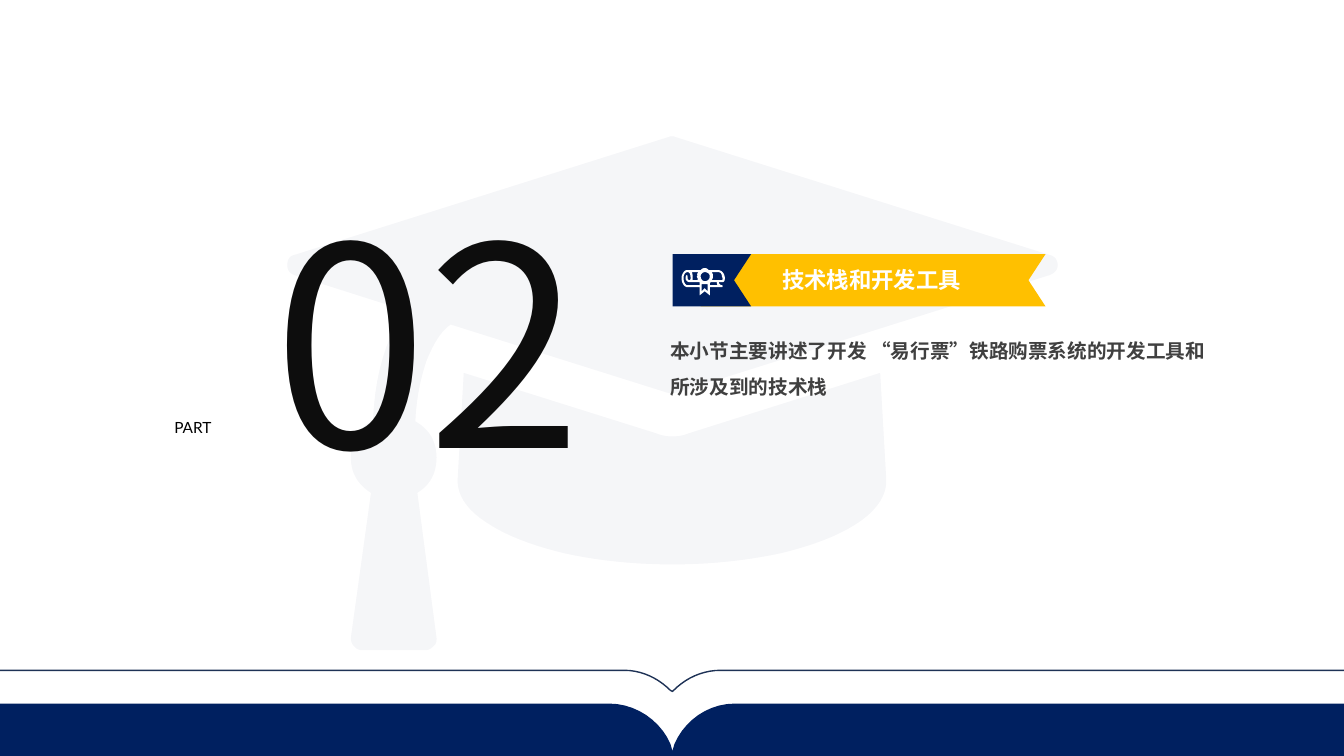
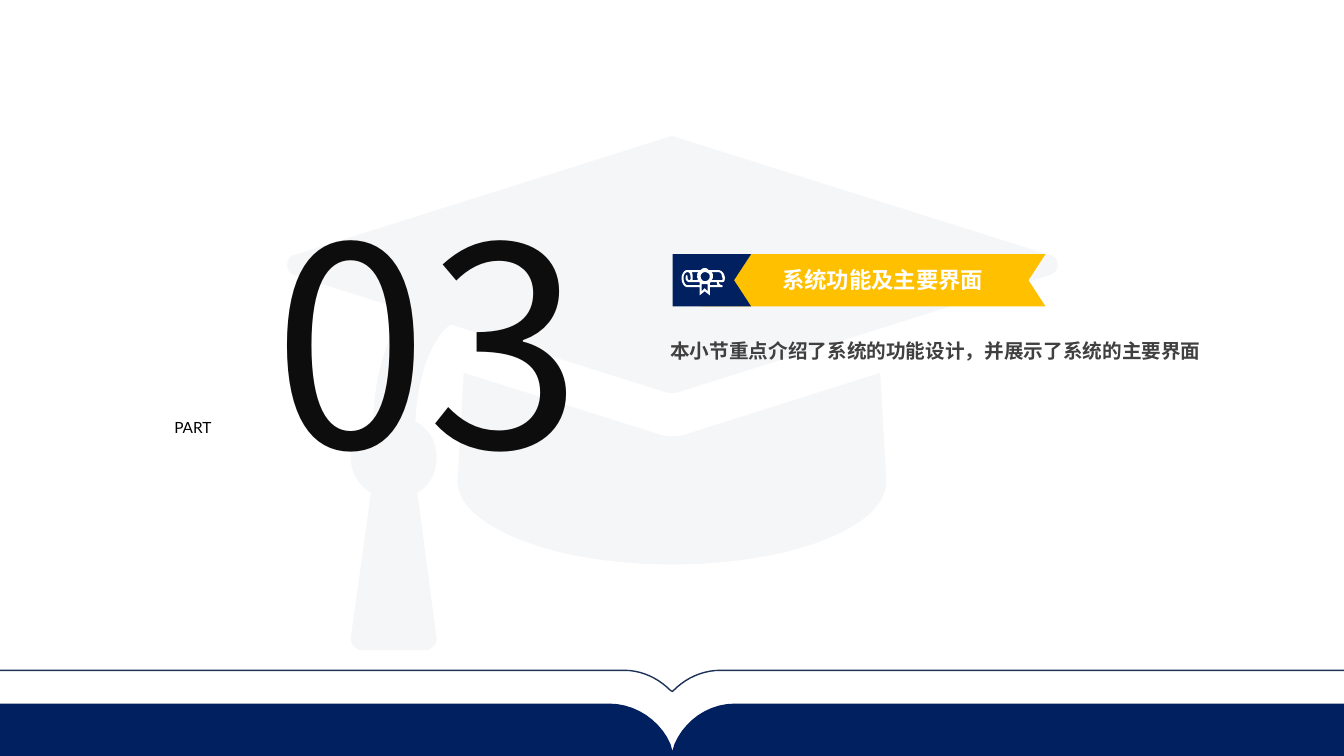
from lxml.etree import SubElement
from pptx import Presentation
from pptx.dml.color import RGBColor
from pptx.enum.text import MSO_AUTO_SIZE as AutoSize, PP_ALIGN as Align
from pptx.oxml.ns import qn
from pptx.util import Inches, Pt

NAVY, GOLD, WHITE = "002060", "FFC000", "FFFFFF"
LATIN, CHINESE = "Lato", "Noto Sans CJK SC"

CAP = [
    [(10.49, 2.63), (10.49, 2.68, 10.46, 2.71, 10.41, 2.73), (6.7, 3.9),
     (6.68, 3.9, 6.65, 3.9, 6.63, 3.9), (4.47, 3.22),
     (4.37, 3.29, 4.3, 3.41, 4.23, 3.58), (4.17, 3.76, 4.13, 3.95, 4.12, 4.18),
     (4.26, 4.26, 4.33, 4.38, 4.33, 4.54), (4.33, 4.69, 4.27, 4.81, 4.14, 4.89),
     (4.33, 6.33), (4.33, 6.36, 4.33, 6.39, 4.3, 6.41),
     (4.28, 6.43, 4.26, 6.45, 4.22, 6.45), (3.59, 6.45),
     (3.55, 6.45, 3.53, 6.43, 3.51, 6.41), (3.49, 6.39, 3.48, 6.36, 3.48, 6.33),
     (3.68, 4.89), (3.55, 4.81, 3.48, 4.69, 3.48, 4.54),
     (3.48, 4.38, 3.55, 4.25, 3.7, 4.17), (3.72, 3.71, 3.83, 3.35, 4.02, 3.08),
     (2.92, 2.73), (2.87, 2.71, 2.85, 2.68, 2.85, 2.63),
     (2.85, 2.58, 2.87, 2.54, 2.92, 2.53), (6.63, 1.36),
     (6.65, 1.35, 6.68, 1.35, 6.7, 1.36), (10.41, 2.53),
     (10.46, 2.54, 10.49, 2.58, 10.49, 2.63)],
    [(8.73, 3.7), (8.79, 4.75), (8.8, 4.9, 8.71, 5.05, 8.52, 5.18),
     (8.33, 5.31, 8.07, 5.41, 7.74, 5.49), (7.41, 5.56, 7.05, 5.6, 6.67, 5.6),
     (6.28, 5.6, 5.92, 5.56, 5.6, 5.49), (5.27, 5.41, 5.01, 5.31, 4.82, 5.18),
     (4.62, 5.05, 4.53, 4.9, 4.54, 4.75), (4.6, 3.7), (6.51, 4.3),
     (6.56, 4.32, 6.61, 4.33, 6.67, 4.33), (6.73, 4.33, 6.78, 4.32, 6.83, 4.3)],
]
BOOK = [[(0, 6.98), (6.04, 6.98), (6.31, 6.98, 6.55, 7.15, 6.65, 7.38),
         (6.67, 7.45), (6.69, 7.38), (6.79, 7.15, 7.02, 6.98, 7.29, 6.98),
         (13.33, 6.98), (13.33, 7.5), (0, 7.5)]]
PAGE_EDGE = [[(-0.32, 6.65), (6.19, 6.65), (6.37, 6.65, 6.53, 6.73, 6.65, 6.85),
              (6.67, 6.86), (6.68, 6.85), (6.8, 6.73, 6.96, 6.65, 7.15, 6.65),
              (13.57, 6.65), (13.57, 7.73), (-0.32, 7.73)]]
RIBBON = [[(6.95, 2.52), (10.37, 2.52), (10.2, 2.78), (10.37, 3.04), (6.95, 3.04)]]
RIBBON_TAG = [[(6.67, 2.52), (7.45, 2.52), (7.28, 2.78), (7.45, 3.04), (6.67, 3.04)]]
DIPLOMA = [
    [(7.19, 2.76), (7.19, 2.73, 7.17, 2.68, 7.12, 2.68), (7.03, 2.68),
     (7.02, 2.67, 7.01, 2.66, 6.99, 2.66), (6.97, 2.66, 6.96, 2.67, 6.95, 2.68),
     (6.81, 2.68), (6.79, 2.68, 6.76, 2.72, 6.76, 2.76),
     (6.76, 2.81, 6.79, 2.85, 6.82, 2.85), (6.94, 2.85), (6.94, 2.93),
     (6.99, 2.89), (7.04, 2.93), (7.04, 2.85), (7.16, 2.85),
     (7.17, 2.85, 7.17, 2.83, 7.16, 2.83), (7.15, 2.83, 7.13, 2.82, 7.13, 2.8),
     (7.16, 2.8), (7.18, 2.8, 7.19, 2.79, 7.19, 2.76)],
    [(6.99, 2.7), (7.02, 2.7, 7.04, 2.72, 7.04, 2.74),
     (7.04, 2.77, 7.02, 2.79, 6.99, 2.79), (6.97, 2.79, 6.95, 2.77, 6.95, 2.74),
     (6.95, 2.72, 6.97, 2.7, 6.99, 2.7)],
    [(6.93, 2.7), (6.92, 2.71, 6.91, 2.72, 6.92, 2.73),
     (6.91, 2.74, 6.91, 2.75, 6.92, 2.76), (6.92, 2.78), (6.87, 2.78),
     (6.87, 2.76), (6.87, 2.73, 6.87, 2.71, 6.86, 2.7)],
    [(6.82, 2.83), (6.8, 2.83, 6.78, 2.8, 6.78, 2.76),
     (6.78, 2.72, 6.8, 2.7, 6.82, 2.7), (6.84, 2.7, 6.85, 2.72, 6.85, 2.76),
     (6.85, 2.76, 6.85, 2.78, 6.84, 2.78), (6.83, 2.78, 6.82, 2.77, 6.82, 2.76),
     (6.82, 2.74, 6.82, 2.73, 6.81, 2.73), (6.81, 2.73, 6.8, 2.74, 6.8, 2.76),
     (6.8, 2.78, 6.82, 2.8, 6.84, 2.8), (6.94, 2.8), (6.94, 2.83)],
    [(6.99, 2.86), (6.96, 2.89), (6.96, 2.82), (7.02, 2.82), (7.02, 2.89)],
    [(7.04, 2.83), (7.04, 2.81), (7.05, 2.8), (7.11, 2.8),
     (7.11, 2.81, 7.11, 2.82, 7.12, 2.83)],
    [(7.06, 2.78), (7.07, 2.76), (7.07, 2.72), (7.06, 2.7), (7.12, 2.7),
     (7.15, 2.7, 7.16, 2.72, 7.16, 2.74), (7.17, 2.76, 7.17, 2.78, 7.16, 2.78)],
]
SECTIONS = [
    ("02", "技术栈和开发工具",
     "本小节主要讲述了开发 “易行票”铁路购票系统的开发工具和所涉及到的技术栈", 0.77),
    ("03", "系统功能及主要界面",
     "本小节重点介绍了系统的功能设计，并展示了系统的主要界面", 0.41),
]


def color(hex_code):
    """Turn a hex string into a colour."""
    return RGBColor.from_string(hex_code)


def flatten(contour, steps=10):
    """Turn a contour's lines and Bézier curves into points in EMU."""
    points = []
    for segment in contour:
        if len(segment) == 2:
            points.append(segment)
            continue
        start, first, second, end = points[-1], segment[:2], segment[2:4], segment[4:]
        for step in range(1, steps + 1):
            t = step / steps
            u = 1 - t
            points.append(tuple(
                u**3 * a + 3 * u * u * t * b + 3 * u * t * t * c + t**3 * d
                for a, b, c, d in zip(start, first, second, end)))
    return [(Inches(x), Inches(y)) for x, y in points]


class Deck:
    """Hold the presentation style and the current slide."""

    def __init__(self):
        """Start a widescreen presentation."""
        self.presentation = Presentation()
        self.presentation.slide_width = Inches(13.33)
        self.presentation.slide_height = Inches(7.5)
        self.slide = None

    def outline(self, contours, fill=None, line=None, alpha=None):
        """Draw closed contours as one freeform."""
        first, *others = [flatten(contour) for contour in contours]
        builder = self.slide.shapes.build_freeform(*first[0])
        builder.add_line_segments(first[1:])
        for points in others:
            builder.move_to(*points[0])
            builder.add_line_segments(points[1:])
        shape = builder.convert_to_shape()
        shape.shadow.inherit = False
        if fill:
            shape.fill.solid()
            shape.fill.fore_color.rgb = color(fill)
        else:
            shape.fill.background()
        if line:
            shape.line.color.rgb = color(line)
            shape.line.width = Pt(1)
        else:
            shape.line.fill.background()
        if alpha:
            tint = shape.fill._xPr.find(".//" + qn("a:srgbClr"))
            SubElement(tint, qn("a:alpha"), val=str(alpha * 1000))

    def text(self, wording, left, top, width, height, size, ink,
             latin=LATIN, bold=False, align=Align.LEFT, spacing=None):
        """Add a one-paragraph text box."""
        box = self.slide.shapes.add_textbox(
            Inches(left), Inches(top), Inches(width), Inches(height))
        frame = box.text_frame
        frame.word_wrap = True
        frame.auto_size = AutoSize.SHAPE_TO_FIT_TEXT
        paragraph = frame.paragraphs[0]
        paragraph.text = wording
        paragraph.alignment = align
        if spacing:
            paragraph.line_spacing = spacing
        font = paragraph.font
        font.name, font.size, font.bold = latin, Pt(size), bold
        font.color.rgb = color(ink)
        SubElement(font._element, qn("a:ea"), typeface=CHINESE)

    def backdrop(self):
        """Start a slide with the cap and the open-book footer."""
        layout = self.presentation.slide_layouts[6]
        self.slide = self.presentation.slides.add_slide(layout)
        self.outline(CAP, fill=NAVY, alpha=4)
        self.outline(BOOK, fill=NAVY)
        self.outline(PAGE_EDGE, line="1E3256")

    def ribbon(self, title):
        """Draw the section title on its ribbon."""
        self.outline(RIBBON, fill=GOLD)
        self.outline(RIBBON_TAG, fill=NAVY)
        self.text(title, 7.66, 2.59, 2.6, 0.37, 16, WHITE, bold=True)

    def section(self, number, title, summary, summary_height):
        """Build one section opener."""
        self.backdrop()
        self.text(number, 1.58, 1.64, 5.33, 3.45, 199, "0D0D0D",
                  latin=CHINESE, align=Align.CENTER)
        self.text("PART", 1.63, 4.1, 1.22, 0.29, 11, "000000", align=Align.JUSTIFY)
        self.ribbon(title)
        self.text(summary, 6.55, 3.2, 5.62, summary_height, 14, "404040",
                  bold=True, spacing=1.5)
        self.outline(DIPLOMA, fill=WHITE)


def main():
    """Build and save the section openers."""
    deck = Deck()
    for section in SECTIONS:
        deck.section(*section)
    deck.presentation.save("out.pptx")


if __name__ == "__main__":
    main()
